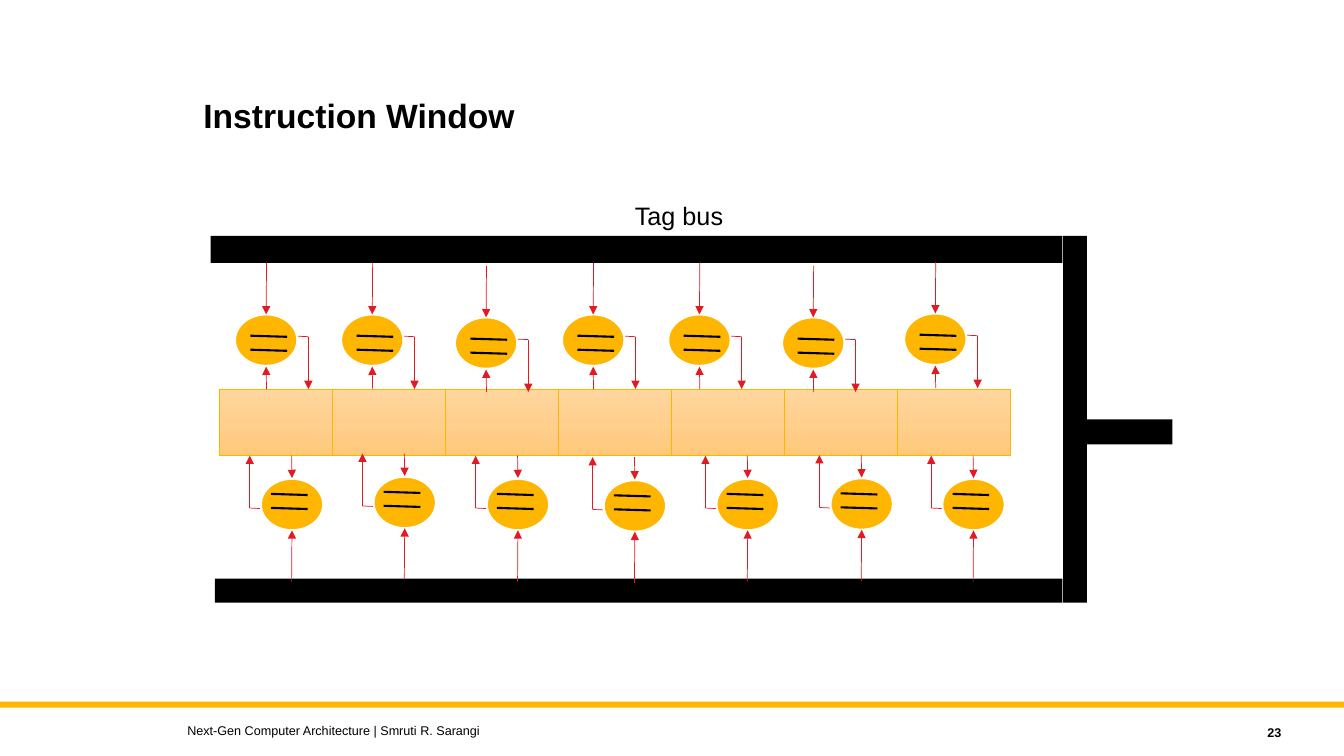
from lxml.etree import SubElement
from pptx import Presentation
from pptx.dml.color import RGBColor
from pptx.enum.shapes import MSO_CONNECTOR, MSO_SHAPE
from pptx.enum.text import MSO_ANCHOR, PP_ALIGN
from pptx.oxml.ns import qn
from pptx.util import Pt

BLACK = RGBColor(0, 0, 0)
WHITE = RGBColor(255, 255, 255)
GOLD = RGBColor(0xFF, 0xB6, 0)
RED = RGBColor(0xE2, 0x1A, 0x23)
PEACH = RGBColor(0xFF, 0xD6, 0x9E)
AMBER = RGBColor(0xFF, 0xC9, 0x7C)

# left, top, width, height
RULE = (0, 501.1, 960, 4.3)
BUS = [
    (150.5, 168.5, 608.4, 19.4),
    (153.4, 413.3, 605.5, 17.3),
    (759.4, 168.5, 17, 262.1),
    (776.2, 299.5, 61.2, 18),
]

# text, box, font, alignment, anchor, wrap
TEXTS = [
    ("Instruction Window", (138.2, 67.7, 620.6, 78.5),
     {"size": Pt(24), "bold": True}, PP_ALIGN.LEFT, MSO_ANCHOR.TOP, True),
    ("Tag bus", (446.4, 139.7, 78.5, 28.8),
     {"size": Pt(18)}, PP_ALIGN.LEFT, MSO_ANCHOR.TOP, False),
    ("23", (821.5, 514.1, 100.8, 18),
     {"size": Pt(9), "bold": True}, PP_ALIGN.RIGHT, MSO_ANCHOR.MIDDLE, True),
    ("Next-Gen Computer Architecture | Smruti R. Sarangi",
     (126.7, 512.6, 576, 18),
     {"size": Pt(9)}, PP_ALIGN.LEFT, MSO_ANCHOR.MIDDLE, True),
]

# Window entries
COUNT, LEFT, TOP, WIDE, HIGH = 7, 157, 277.9, 80.64, 47.5

# Centres of the comparators above and below the window
UPPER = [(190.1, 243), (265.9, 243), (347.2, 245.1), (423.7, 243),
         (499.6, 243), (580.9, 245.1), (668.1, 242.3)]
LOWER = [(208.6, 360.4), (289.1, 358.9), (370, 360.4), (453.5, 361.4),
         (534.1, 360.4), (615.5, 360), (695.4, 360.4)]
OVAL = (44.6, 36.8)

# Offsets from the centre of an upper comparator: from, to, colour, width, arrow
ELBOW = ((30.2, -2.5), (14.8, -3.2), RED, 0.5, False)
WIRES = [
    ((-11.2, -3.2), (15, -2.4), BLACK, 1.5, False),
    ((-11.2, 6.8), (15, 7.6), BLACK, 1.5, False),
    ((0.3, 34.9), (0, 18.9), RED, 0.5, True),
    ((0.3, -55.1), (0, -18.4), RED, 0.5, True),
    ((30.2, -2.5), (30.2, 34.9), RED, 0.5, True),
]


def add_block(shapes, kind, box, fill, line=None, width=0.5):
    block = shapes.add_shape(kind, *map(Pt, box))
    block.shadow.inherit = False
    block.fill.solid()
    block.fill.fore_color.rgb = fill
    if line is None:
        block.line.fill.background()
    else:
        block.line.color.rgb = line
        block.line.width = Pt(width)
    return block


def add_wire(shapes, centre, sign, wire):
    """Draw a wire around a centre; a sign of -1 turns it by half a circle."""
    start, end, color, width, arrow = wire
    ends = [Pt(mid + sign * off) for point in (start, end)
            for mid, off in zip(centre, point)]
    link = shapes.add_connector(MSO_CONNECTOR.STRAIGHT, *ends)
    link.line.color.rgb = color
    link.line.width = Pt(width)
    props = link._element.spPr
    if arrow:
        SubElement(props.find(qn("a:ln")), qn("a:tailEnd"), type="triangle")
    SubElement(props, qn("a:effectLst"))


def add_unit(slide, centre, sign):
    """Draw one comparator with its wires."""
    shapes = slide.shapes.add_group_shape().shapes
    add_wire(shapes, centre, sign, ELBOW)
    corner = [mid - size / 2 for mid, size in zip(centre, OVAL)]
    add_block(shapes, MSO_SHAPE.OVAL, (*corner, *OVAL), GOLD, WHITE, 1.5)
    for wire in WIRES:
        add_wire(shapes, centre, sign, wire)


def add_text(slide, text, box, style, align, anchor, wrap):
    frame = slide.shapes.add_textbox(*map(Pt, box)).text_frame
    frame.word_wrap = wrap
    frame.vertical_anchor = anchor
    para = frame.paragraphs[0]
    para.text = text
    para.alignment = align
    para.line_spacing = 0.9 if style["size"] == Pt(24) else 1.0
    font = para.runs[0].font
    for name, value in {"name": "Arial", **style}.items():
        setattr(font, name, value)
    font.color.rgb = BLACK


def main():
    deck = Presentation()
    deck.slide_width, deck.slide_height = Pt(960), Pt(540)
    slide = deck.slides.add_slide(deck.slide_layouts[6])
    add_block(slide.shapes, MSO_SHAPE.RECTANGLE, RULE, GOLD)

    for col in range(COUNT):
        box = (LEFT + col * WIDE, TOP, WIDE, HIGH)
        cell = add_block(slide.shapes, MSO_SHAPE.RECTANGLE, box, PEACH, GOLD)
        cell.fill.gradient()
        cell.fill.gradient_angle = 270
        for stop, color in zip(cell.fill.gradient_stops, (PEACH, AMBER)):
            stop.color.rgb = color

    for box in BUS:
        add_block(slide.shapes, MSO_SHAPE.RECTANGLE, box, BLACK)
    for sign, row in ((1, UPPER), (-1, LOWER)):
        for centre in row:
            add_unit(slide, centre, sign)
    for item in TEXTS:
        add_text(slide, *item)
    deck.save("out.pptx")


if __name__ == "__main__":
    main()
